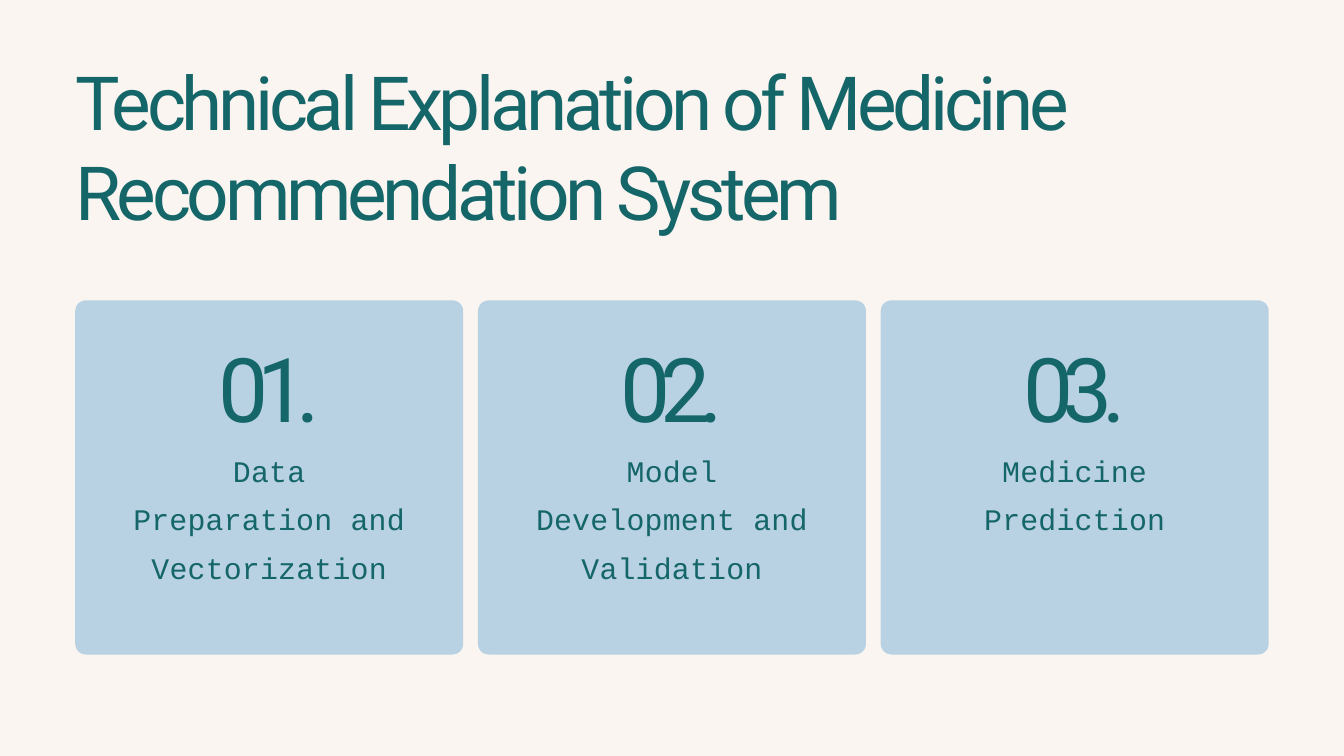
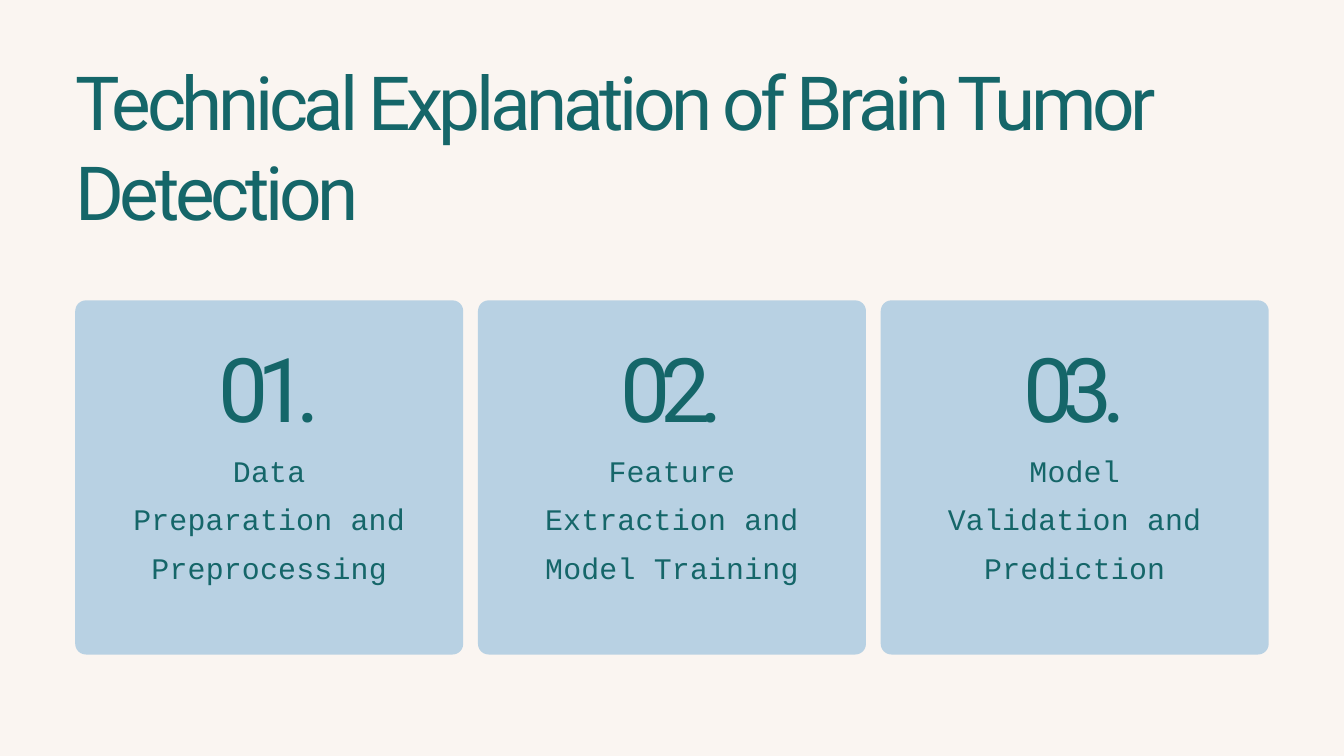
from pptx import Presentation
from pptx.dml.color import RGBColor
from pptx.enum.shapes import MSO_SHAPE
from pptx.enum.text import MSO_ANCHOR, MSO_AUTO_SIZE, PP_ALIGN
from pptx.util import Inches, Pt

ROUNDED = MSO_SHAPE.ROUNDED_RECTANGLE
TOP = MSO_ANCHOR.TOP
GROW = MSO_AUTO_SIZE.SHAPE_TO_FIT_TEXT
LEFT, CENTER = PP_ALIGN.LEFT, PP_ALIGN.CENTER

CREAM, TEAL, BLUE = "FAF5F1", "156669", "B8D1E3"
HEADING_FONT, BODY_FONT = "Roboto", "Courier New"

# Grid, in inches
WIDTH, HEIGHT = 20, 11.25
MARGIN, GAP, COLUMNS = 1.12, 0.22, 3
CONTENT_WIDTH = WIDTH - 2 * MARGIN
CARD_WIDTH = (CONTENT_WIDTH - (COLUMNS - 1) * GAP) / COLUMNS
CARD_TOP, CARD_HEIGHT = 4.47, 5.27
LABEL_WIDTH, LABEL_HEIGHT = 4.13, 4.24
TITLE_TOP, TITLE_HEIGHT = 0.82, 2.71

PAGES = [
    ("Technical Explanation of Medicine Recommendation System",
     ["Data Preparation and Vectorization",
      "Model Development and Validation",
      "Medicine Prediction"]),
    ("Technical Explanation of Brain Tumor Detection",
     ["Data Preparation and Preprocessing",
      "Feature Extraction and Model Training",
      "Model Validation and Prediction"]),
]


def color(value):
    return RGBColor.from_string(value)


def write(para, text, font, size, tracking, align=CENTER, line_spacing=None):
    """Add text to a paragraph; tracking and line_spacing are in points."""
    para.alignment = align
    if line_spacing:
        para.line_spacing = Pt(line_spacing)
    span = para.add_run()
    span.text = text
    span.font.name = font
    span.font.size = Pt(size)
    span.font.color.rgb = color(TEAL)
    span._r.get_or_add_rPr().set("spc", str(round(tracking * 100)))


deck = Presentation()
deck.slide_width, deck.slide_height = Inches(WIDTH), Inches(HEIGHT)
background = deck.slide_master.background.fill
background.solid()
background.fore_color.rgb = color(CREAM)

# The title's place is shared through the layout
layout = deck.slide_layouts.get_by_name("Title Only")
title = layout.placeholders[0]
title.left, title.top = Inches(MARGIN), Inches(TITLE_TOP)
title.width, title.height = Inches(CONTENT_WIDTH), Inches(TITLE_HEIGHT)

for heading, steps in PAGES:
    page = deck.slides.add_slide(layout)
    title_frame = page.shapes.title.text_frame
    write(title_frame.paragraphs[0], heading, HEADING_FONT, 80, -4.7, align=LEFT)
    frames = [(title_frame, 0.01)]

    for column, step in enumerate(steps):
        card_left = MARGIN + column * (CARD_WIDTH + GAP)
        card = page.shapes.add_shape(
            ROUNDED, Inches(card_left), Inches(CARD_TOP),
            Inches(CARD_WIDTH), Inches(CARD_HEIGHT))
        card.adjustments[0] = 0.03
        card.shadow.inherit = False
        card.fill.solid()
        card.fill.fore_color.rgb = color(BLUE)
        card.line.fill.background()

        label_left = card_left + (CARD_WIDTH - LABEL_WIDTH) / 2
        label = page.shapes.add_textbox(
            Inches(label_left), Inches(CARD_TOP),
            Inches(LABEL_WIDTH), Inches(LABEL_HEIGHT))
        frame = label.text_frame
        write(frame.paragraphs[0], f"{column + 1:02}.", HEADING_FONT, 95.5, -11.6)
        write(frame.add_paragraph(), step, BODY_FONT, 32, 0.2, line_spacing=51.8)
        frames.append((frame, 0.49))

    for frame, top_inset in frames:
        frame.word_wrap = True
        frame.auto_size = GROW
        frame.vertical_anchor = TOP
        frame.margin_left = frame.margin_right = frame.margin_bottom = 0
        frame.margin_top = Inches(top_inset)

deck.save("out.pptx")
